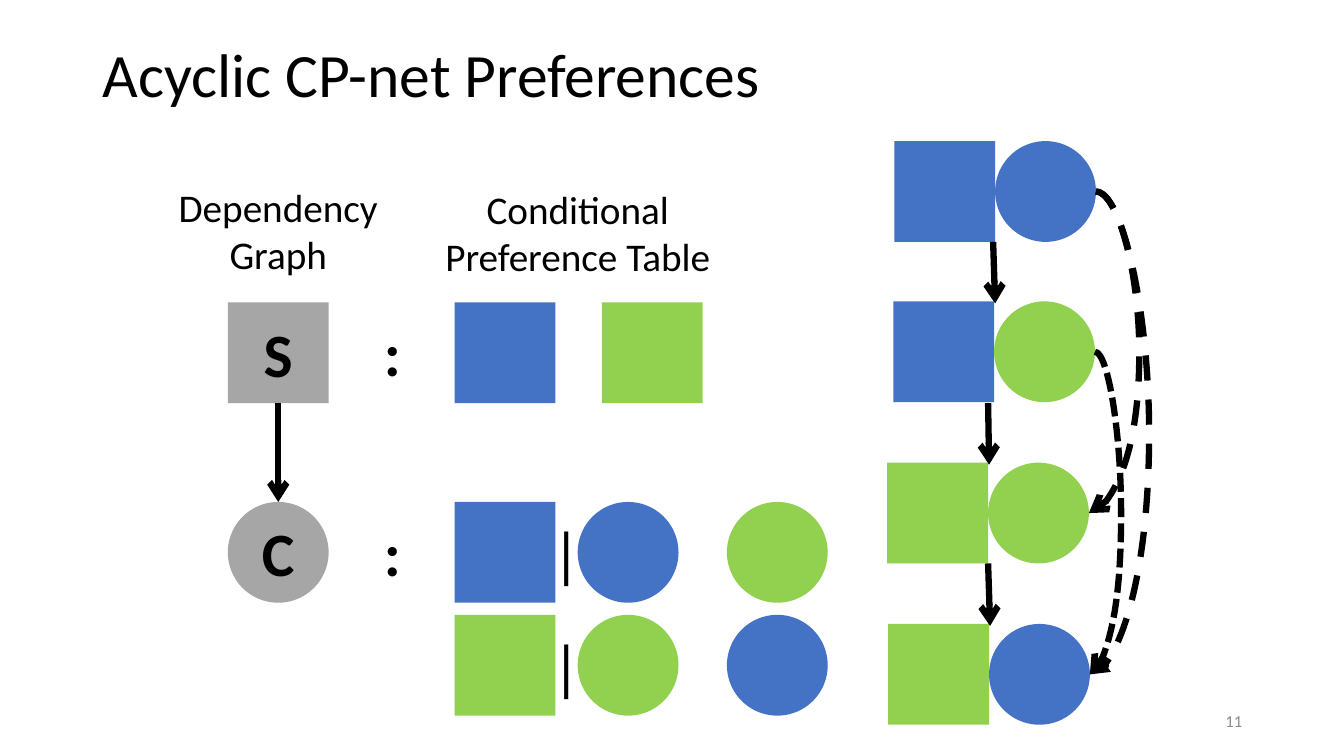
from lxml import etree
from pptx import Presentation
from pptx.dml.color import RGBColor
from pptx.enum.dml import MSO_LINE
from pptx.enum.shapes import MSO_CONNECTOR as CONN, MSO_SHAPE as SHAPE
from pptx.enum.text import MSO_ANCHOR as ANCHOR, MSO_AUTO_SIZE as FIT, PP_ALIGN as ALIGN
from pptx.oxml.ns import qn
from pptx.util import Inches, Pt

COLORS = {"black": "000000", "gray": "A6A6A6", "muted": "8C8C8C",
          "blue": "4472C4", "green": "92D050"}


def rgb(name):
    """Return the palette colour with this name."""
    return RGBColor.from_string(COLORS[name])


def write(tf, text, size=44, color="black", bold=False, align=ALIGN.LEFT,
          anchor=ANCHOR.TOP, wrap=True, fit=FIT.NONE, spacing=None):
    """Fill a text frame, one paragraph per line of text."""
    tf.word_wrap, tf.auto_size, tf.vertical_anchor = wrap, fit, anchor
    for i, line in enumerate(text.split("\n")):
        p = tf.add_paragraph() if i else tf.paragraphs[0]
        p.alignment = align
        if spacing:
            p.line_spacing = spacing
        r = p.add_run()
        r.text = line
        r.font.name, r.font.size, r.font.bold = "Calibri", Pt(size), bold
        r.font.color.rgb = rgb(color)


class Deck:
    """Hold the style and the current slide."""

    def __init__(self, width, height):
        """Start a presentation of the given size."""
        self.prs = Presentation()
        self.prs.slide_width, self.prs.slide_height = Inches(width), Inches(height)
        self.s = None

    def slide(self, title, x, y, w, h):
        """Add a title-only slide and place its title."""
        self.s = self.prs.slides.add_slide(self.prs.slide_layouts[5])
        sp = self.s.shapes.title
        sp.left, sp.top, sp.width, sp.height = map(Inches, (x, y, w, h))
        write(sp.text_frame, title, anchor=ANCHOR.MIDDLE, spacing=0.9)

    def text(self, text, x, y, w, h, **fmt):
        """Add a text box."""
        sp = self.s.shapes.add_textbox(*map(Inches, (x, y, w, h)))
        write(sp.text_frame, text, **fmt)

    def tile(self, kind, color, x, y, label=None, parent=None):
        """Add a one-inch square or circle."""
        shapes = (parent or self.s).shapes
        sp = shapes.add_shape(kind, Inches(x), Inches(y), Inches(1), Inches(1))
        sp.shadow.inherit = False
        sp.fill.solid()
        sp.fill.fore_color.rgb = rgb(color)
        sp.line.fill.background()
        if label:
            write(sp.text_frame, label, bold=True, align=ALIGN.CENTER, anchor=ANCHOR.MIDDLE)
        return sp

    def outcome(self, x, y, square, circle):
        """Add a grouped square and circle side by side."""
        group = self.s.shapes.add_group_shape()
        self.tile(SHAPE.RECTANGLE, square, x, y, parent=group)
        self.tile(SHAPE.OVAL, circle, x + 1, y, parent=group)

    def arrow(self, start, end, kind=CONN.STRAIGHT, head="arrow", dash=None):
        """Add a black arrow from start to end."""
        c = self.s.shapes.add_connector(kind, *map(Inches, (*start, *end)))
        c.line.width = Pt(4.5)
        c.line.color.rgb = rgb("black")
        if dash:
            c.line.dash_style = dash
        etree.SubElement(c.line._get_or_add_ln(), qn("a:tailEnd"), type=head)
        etree.SubElement(c._element.spPr, qn("a:effectLst"))
        return c

    def bow(self, start, end, reach, **fmt):
        """Add a curved arrow that bulges right as far as reach."""
        c = self.arrow(start, end, kind=CONN.CURVE, **fmt)
        ratio = (start[0] - reach) / (start[0] - end[0])
        geom = c._element.spPr.find(qn("a:prstGeom"))
        av = geom.find(qn("a:avLst"))
        if av is None:
            av = etree.SubElement(geom, qn("a:avLst"))
        etree.SubElement(av, qn("a:gd"), name="adj1", fmla=f"val {round(ratio * 100000)}")


def main():
    """Build the slide and save it."""
    d = Deck(13.33, 7.5)
    d.slide("Acyclic CP-net Preferences", 0.92, 0.04, 11.5, 1.45)
    d.text("11", 9.42, 6.95, 3, 0.4, size=12, color="muted",
           align=ALIGN.RIGHT, anchor=ANCHOR.MIDDLE)

    shape_node = d.tile(SHAPE.RECTANGLE, "gray", 2.26, 3, "S")
    color_node = d.tile(SHAPE.OVAL, "gray", 2.26, 4.98, "C")
    c = d.arrow((2.76, 4), (2.76, 4.98))
    c.begin_connect(shape_node, 2)
    c.end_connect(color_node, 0)

    for y in (3, 4.98):
        d.text(":", 3.71, y + 0.08, 0.37, 0.84, bold=True, wrap=False, fit=FIT.SHAPE_TO_FIT_TEXT)
    for x, color in ((4.51, "blue"), (5.97, "green")):
        d.tile(SHAPE.RECTANGLE, color, x, 3)
    for y, better, worse in ((4.98, "blue", "green"), (6.1, "green", "blue")):
        d.tile(SHAPE.RECTANGLE, better, 4.51, y)
        d.text("|", 5.38, y + 0.08, 0.49, 0.84, wrap=False, fit=FIT.SHAPE_TO_FIT_TEXT)
        d.tile(SHAPE.OVAL, better, 5.73, y)
        d.tile(SHAPE.OVAL, worse, 7.21, y)

    for outcome in ((8.87, 1.4, "blue", "blue"), (8.86, 2.99, "blue", "green"),
                    (8.8, 4.59, "green", "green"), (8.81, 6.19, "green", "blue")):
        d.outcome(*outcome)
    for start, end in (((9.85, 2.4), (9.87, 3.01)), ((9.8, 4), (9.81, 4.61)),
                       ((9.8, 5.59), (9.82, 6.21))):
        d.arrow(start, end)
    d.bow((10.87, 1.9), (10.81, 6.69), 11.4, head="triangle", dash=MSO_LINE.DASH)
    d.bow((10.87, 1.9), (10.8, 5.09), 11.3, dash=MSO_LINE.DASH)
    d.bow((10.86, 3.49), (10.81, 6.69), 11.12, dash=MSO_LINE.SQUARE_DOT)

    d.text("Dependency\nGraph", 1.66, 1.77, 2.2, 1.04, size=28,
           align=ALIGN.CENTER, wrap=False, fit=FIT.SHAPE_TO_FIT_TEXT)
    d.text("Conditional Preference Table", 4.29, 1.79, 2.88, 1.04, size=28,
           align=ALIGN.CENTER, fit=FIT.SHAPE_TO_FIT_TEXT)
    d.prs.save("out.pptx")


if __name__ == "__main__":
    main()
